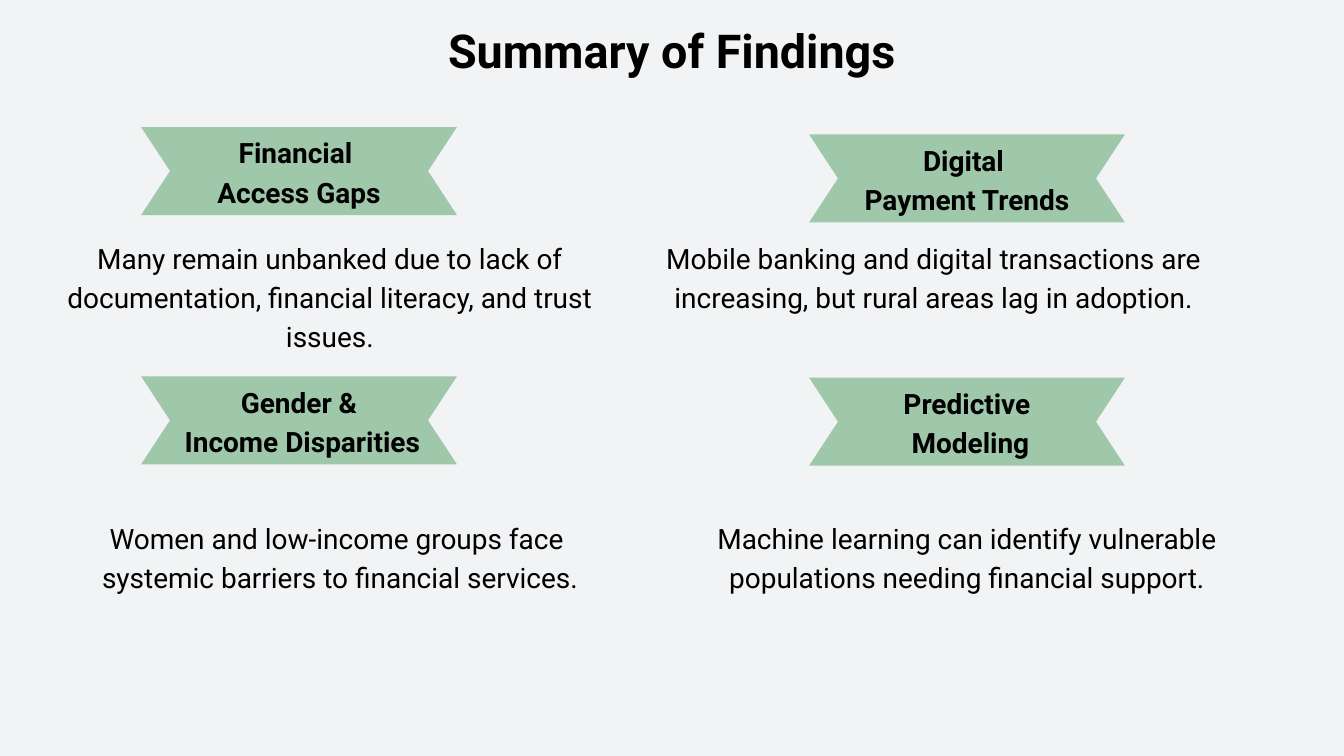
from pptx import Presentation
from pptx.dml.color import RGBColor
from pptx.enum.text import MSO_ANCHOR, PP_ALIGN
from pptx.util import Inches, Pt

BACKGROUND = RGBColor(0xF2, 0xF3, 0xF4)
RIBBON_GREEN = RGBColor(0x9F, 0xC7, 0xAA)
BLACK = RGBColor(0, 0, 0)

FONT = "Roboto"
RIBBON_WIDTH, RIBBON_HEIGHT, NOTCH = 4.7, 1.31, 0.43
LEFT_RIBBON, RIGHT_RIBBON = 2.1, 12.04

# Ribbon (left, top), heading lines, heading (width, height), finding lines, finding box
FINDINGS = [
    ((LEFT_RIBBON, 1.89), ["Financial ", "Access Gaps"], (2.53, 1.15),
     ["Many remain unbanked due to lack of documentation, "
      "financial literacy, and trust issues."],
     (0.71, 3.51, 8.4, 1.73)),
    ((RIGHT_RIBBON, 2), ["Digital ", "Payment Trends"], (3.32, 1.15),
     ["Mobile banking and digital transactions are increasing, "
      "but rural areas lag in adoption."],
     (9.48, 3.51, 8.83, 1.73)),
    ((LEFT_RIBBON, 5.6), ["Gender &", " Income Disparities"], (3.91, 1.73),
     ["Women and low-income groups face",
      " systemic barriers to financial services."],
     (1.12, 7.68, 7.78, 1.73)),
    ((RIGHT_RIBBON, 5.62), ["Predictive", " Modeling"], (2.09, 1.73),
     ["Machine learning can identify vulnerable populations "
      "needing financial support."],
     (10.5, 7.68, 7.78, 2.31)),
]


def add_text(slide, box, lines, size=30, spacing=42, bold=False):
    """Add centred text, one paragraph per line, in a box without margins."""
    frame = slide.shapes.add_textbox(*map(Inches, box)).text_frame
    frame.word_wrap = True
    frame.vertical_anchor = MSO_ANCHOR.TOP
    frame.margin_left = frame.margin_right = 0
    frame.margin_top = frame.margin_bottom = 0
    frame.text = "\n".join(lines)
    for paragraph in frame.paragraphs:
        paragraph.alignment = PP_ALIGN.CENTER
        paragraph.line_spacing = Pt(spacing)
        for run in paragraph.runs:
            run.font.name = FONT
            run.font.size = Pt(size)
            run.font.bold = bold
            run.font.color.rgb = BLACK


def add_ribbon(slide, left, top):
    """Add a band with a notch cut into each end."""
    right, bottom = left + RIBBON_WIDTH, top + RIBBON_HEIGHT
    middle = top + RIBBON_HEIGHT / 2
    corners = [(left, top), (left + NOTCH, middle), (left, bottom),
               (right, bottom), (right - NOTCH, middle)]
    outline = slide.shapes.build_freeform(Inches(right), Inches(top))
    outline.add_line_segments([(Inches(x), Inches(y)) for x, y in corners])
    ribbon = outline.convert_to_shape()
    ribbon.shadow.inherit = False
    ribbon.fill.solid()
    ribbon.fill.fore_color.rgb = RIBBON_GREEN
    ribbon.line.fill.background()


def add_finding(slide, ribbon_corner, heading, heading_size, finding, finding_box):
    left, top = ribbon_corner
    width, height = heading_size
    add_ribbon(slide, left, top)
    heading_left = left + (RIBBON_WIDTH - width) / 2
    add_text(slide, (heading_left, top + 0.05, width, height), heading, bold=True)
    add_text(slide, finding_box, finding)


def main():
    presentation = Presentation()
    presentation.slide_width = Inches(20)
    presentation.slide_height = Inches(11.25)
    slide = presentation.slides.add_slide(presentation.slide_layouts[6])
    slide.background.fill.solid()
    slide.background.fill.fore_color.rgb = BACKGROUND

    add_text(slide, (6.43, 0.18, 7.14, 0.94), ["Summary of Findings"],
             size=50, spacing=70, bold=True)
    for finding in FINDINGS:
        add_finding(slide, *finding)
    presentation.save("out.pptx")


if __name__ == "__main__":
    main()
